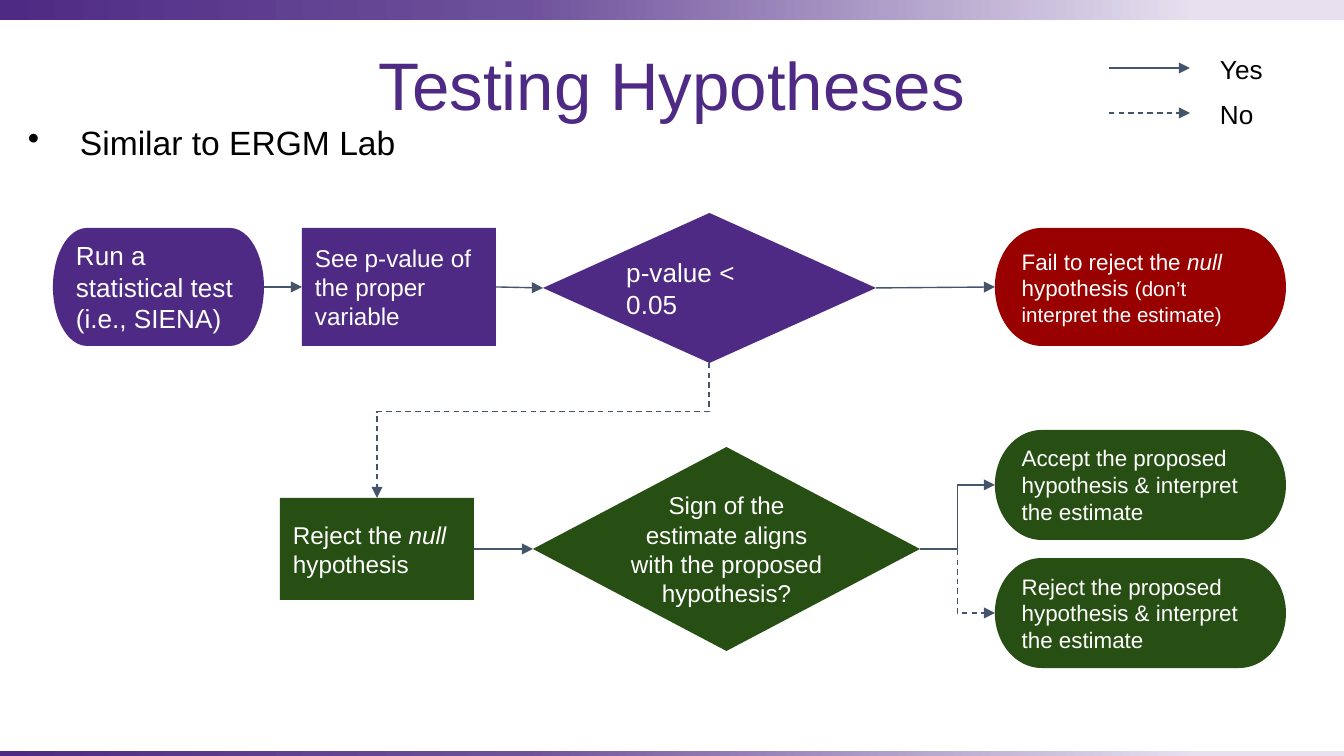
from lxml import etree
from pptx import Presentation
from pptx import util as u
from pptx.dml.color import RGBColor
from pptx.enum import dml, shapes, text
from pptx.oxml.ns import qn

PURPLE, GREEN, RED = "4E2A84", "274E13", "990000"
WHITE, BLACK, SLATE = "FFFFFF", "000000", "44546A"
FADE = [(0, PURPLE), (39, "6E519B"), (89, "E6E0EF"), (100, "E6E0EF")]
RECT = shapes.MSO_SHAPE.RECTANGLE
DIAMOND = shapes.MSO_SHAPE.DIAMOND
TERMINATOR = shapes.MSO_SHAPE.FLOWCHART_TERMINATOR
STRAIGHT, ELBOW = shapes.MSO_CONNECTOR.STRAIGHT, shapes.MSO_CONNECTOR.ELBOW
LEFT, CENTER = text.PP_ALIGN.LEFT, text.PP_ALIGN.CENTER
TOP, MIDDLE = text.MSO_ANCHOR.TOP, text.MSO_ANCHOR.MIDDLE
LEFT_SIDE, RIGHT_SIDE = 1, 3


def px(n):
    return u.Emu(round(n * 914400 / 134.4))


def rgb(value):
    return RGBColor.from_string(value)


class Deck:
    font = "Arial"

    def __init__(self, width, height):
        self.prs = Presentation()
        self.prs.slide_width, self.prs.slide_height = px(width), px(height)
        self.s = self.prs.slides.add_slide(self.prs.slide_layouts[6])

    def shape(self, kind, box):
        sp = self.s.shapes.add_shape(kind, *map(px, box))
        sp.shadow.inherit = False
        sp.line.fill.background()
        return sp

    def bar(self, box):
        sp = self.shape(RECT, box)
        sp.fill.gradient()
        sp.fill.gradient_angle = 0
        stops = sp._element.spPr.find(qn("a:gradFill")).find(qn("a:gsLst"))
        for stop in list(stops):
            stops.remove(stop)
        for pos, color in FADE:
            gs = etree.SubElement(stops, qn("a:gs"), pos=str(pos * 1000))
            etree.SubElement(gs, qn("a:srgbClr"), val=color)

    def put_text(self, sp, runs, size, color, align=LEFT, anchor=MIDDLE, inset=13):
        tf = sp.text_frame
        tf.word_wrap = True
        tf.vertical_anchor = anchor
        tf.margin_left = tf.margin_right = tf.margin_top = tf.margin_bottom = px(inset)
        p = tf.paragraphs[0]
        p.alignment = align
        for content, *style in runs:
            r = p.add_run()
            r.text = content
            r.font.name = self.font
            r.font.size = u.Pt(style[0] if style and style[0] != "i" else size)
            r.font.italic = "i" in style
            r.font.color.rgb = rgb(color)
        return p

    def node(self, kind, box, fill, size, *runs, **layout):
        sp = self.shape(kind, box)
        sp.fill.solid()
        sp.fill.fore_color.rgb = rgb(fill)
        self.put_text(sp, runs, size, WHITE, **layout)
        return sp

    def label(self, box, content, size, color=BLACK, **layout):
        sp = self.s.shapes.add_textbox(*map(px, box))
        return self.put_text(sp, [(content,)], size, color, **layout)

    def bullet(self, box, content, size):
        p = self.label(box, content, size, anchor=TOP)
        p.line_spacing = 0.9
        p.space_before = u.Pt(10)
        pPr = p._p.get_or_add_pPr()
        pPr.set("marL", str(px(67)))
        pPr.set("indent", str(px(-52)))
        etree.SubElement(pPr, qn("a:buChar"), char="•")

    def arrow(self, x1, y1, x2, y2, dashed=False, kind=STRAIGHT):
        c = self.s.shapes.add_connector(kind, *map(px, (x1, y1, x2, y2)))
        c.line.color.rgb = rgb(SLATE)
        c.line.width = u.Pt(0.75)
        if dashed:
            c.line.dash_style = dml.MSO_LINE.DASH
        spPr = c._element.spPr
        etree.SubElement(spPr.find(qn("a:ln")), qn("a:tailEnd"), type="triangle")
        etree.SubElement(spPr, qn("a:effectLst"))
        return c

    def link(self, start, end, **style):
        c = self.arrow(0, 0, 0, 0, **style)
        c.begin_connect(start, RIGHT_SIDE)
        c.end_connect(end, LEFT_SIDE)

    def drop(self, x1, y1, x2, y2, bend):
        cx, cy, w, h = (x1 + x2) / 2, (y1 + y2) / 2, y2 - y1, x1 - x2
        c = self.arrow(cx - w / 2, cy - h / 2, cx + w / 2, cy + h / 2,
                       dashed=True, kind=ELBOW)
        c.rotation = 90
        geom = c._element.spPr.find(qn("a:prstGeom"))
        av = geom.find(qn("a:avLst"))
        if av is None:
            av = etree.SubElement(geom, qn("a:avLst"))
        etree.SubElement(av, qn("a:gd"), name="adj1", fmla=f"val {round(bend * 100000)}")


def main():
    d = Deck(1344, 756)
    d.bar((0, 0, 1344, 20))
    d.bar((0, 751, 1344, 5))
    title = d.label((0, 44, 1344, 90), "Testing Hypotheses", 36, PURPLE, align=CENTER)
    title.line_spacing = 0.9
    d.bullet((0, 113, 1344, 82), "Similar to ERGM Lab", 18)

    run = d.node(TERMINATOR, (53, 228, 211, 118), PURPLE, 14,
                 ("Run a statistical test (i.e., SIENA)",))
    see = d.node(RECT, (302, 228, 194, 118), PURPLE, 13,
                 ("See p-value of the proper variable",))
    p_value = d.node(DIAMOND, (543, 213, 333, 150), PURPLE, 14,
                     ("p-value < 0.05",), inset=0)
    fail = d.node(TERMINATOR, (995, 228, 291, 118), RED, 12,
                  ("Fail to reject the ",), ("null ", "i"), ("hypothesis ",),
                  ("(don’t interpret the estimate)", 11))
    reject_null = d.node(RECT, (280, 498, 194, 102), GREEN, 13,
                         ("Reject the ",), ("null", "i"), (" hypothesis",))
    sign = d.node(DIAMOND, (533, 447, 387, 204), GREEN, 13,
                  ("Sign of the estimate aligns with the proposed hypothesis?",),
                  align=CENTER, inset=0)
    accept, reject = [
        d.node(TERMINATOR, (995, y, 291, 110), GREEN, 12,
               (f"{verb} the proposed hypothesis & interpret the estimate",))
        for verb, y in (("Accept", 430), ("Reject", 558))]

    for start, end in ((run, see), (see, p_value), (p_value, fail), (reject_null, sign)):
        d.link(start, end)
    for end, dashed in ((accept, False), (reject, True)):
        d.link(sign, end, dashed=dashed, kind=ELBOW)
    d.drop(709, 363, 377, 498, 0.36)

    for name, y, top, dashed in (("Yes", 68, 40, False), ("No", 113, 85, True)):
        d.arrow(1109, y, 1190, y, dashed)
        d.label((1207, top, 114, 52), name, 14, anchor=TOP)

    d.prs.save("out.pptx")


if __name__ == "__main__":
    main()
